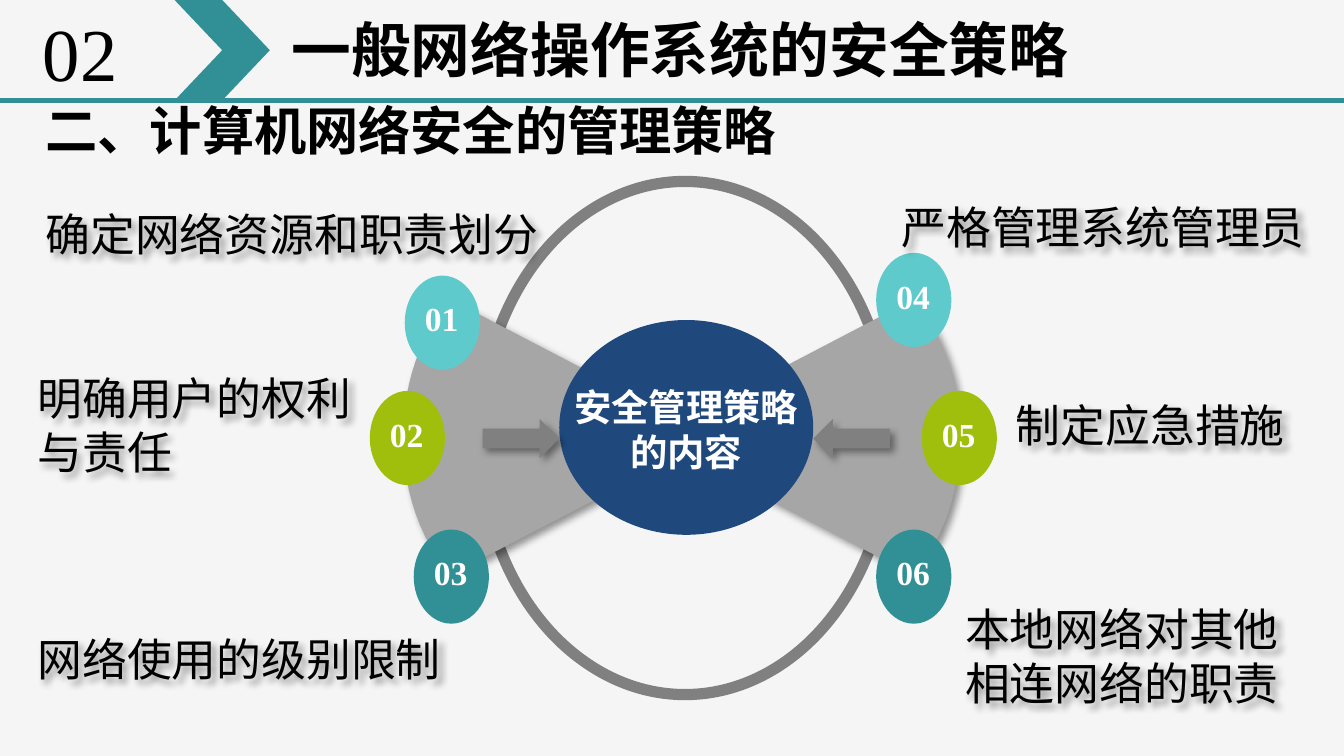
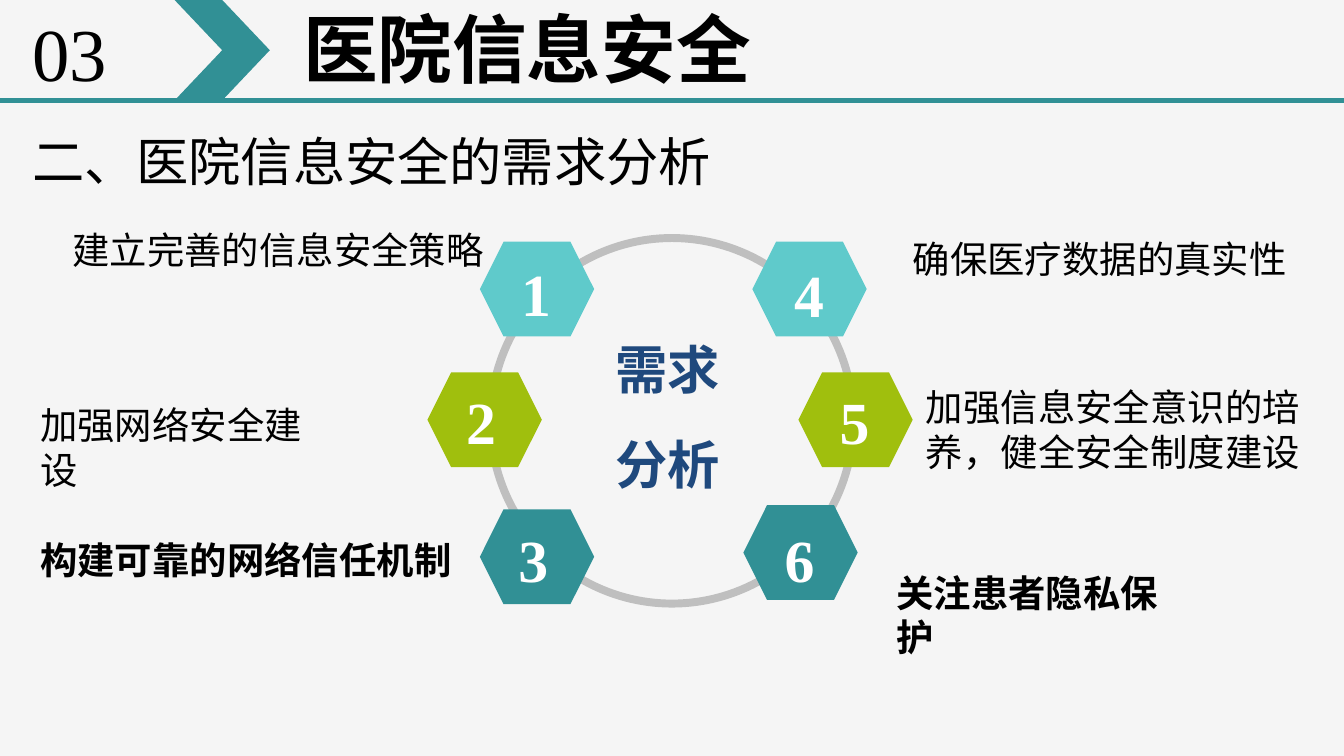
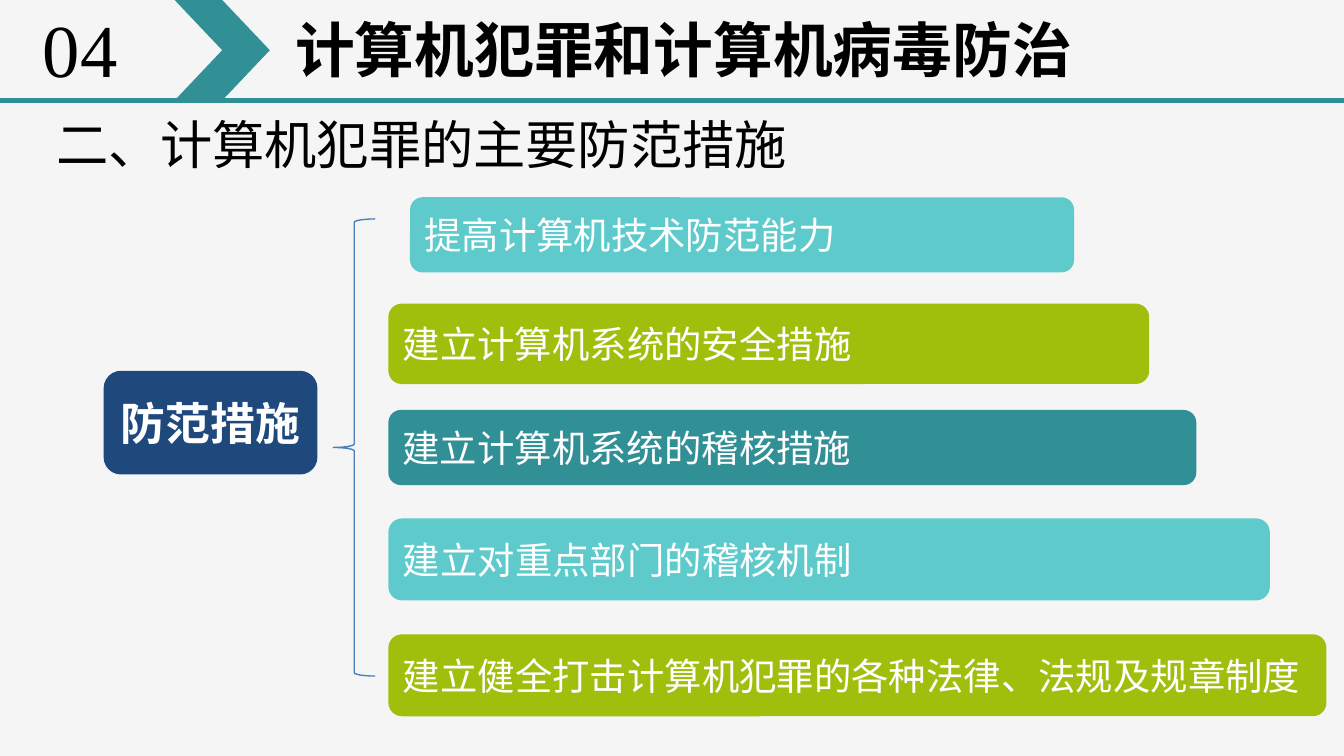
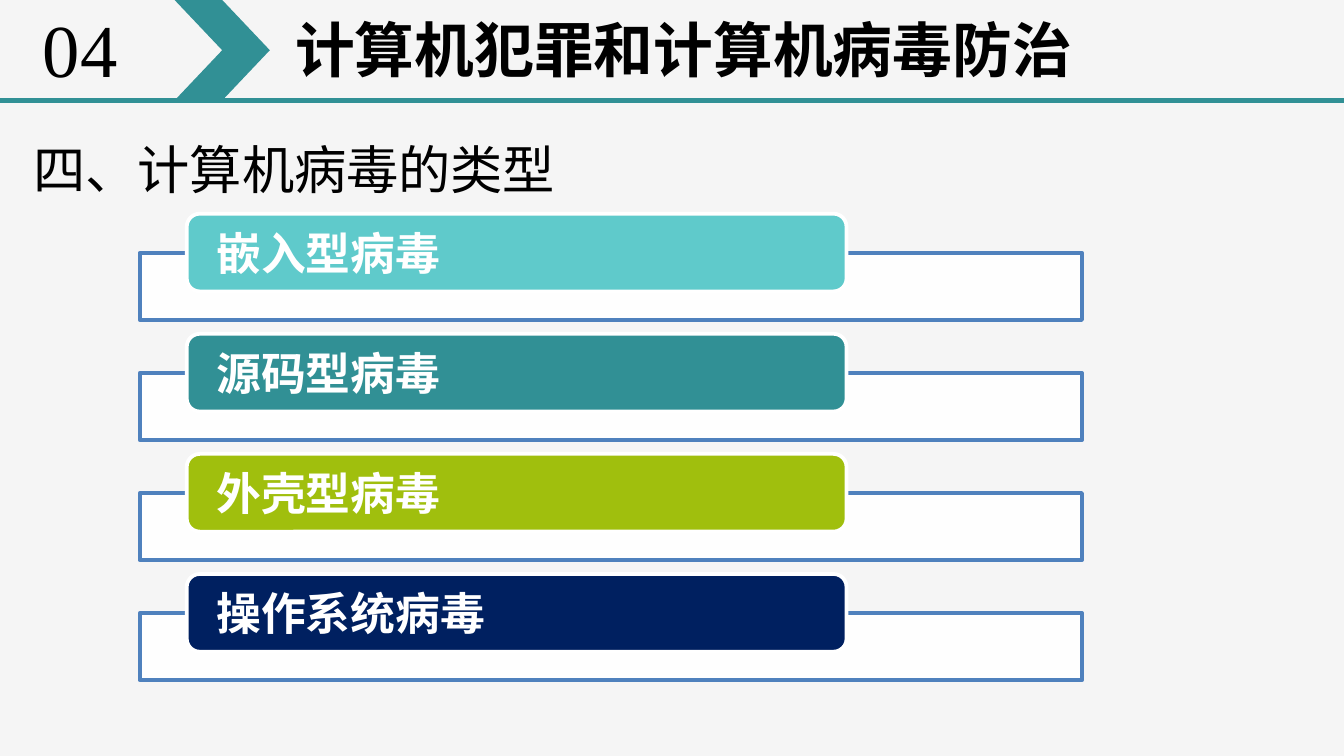
"""Four training slides on network, hospital and computer security."""
from dataclasses import dataclass
from typing import NamedTuple, Optional

from lxml.etree import SubElement
from pptx import Presentation
from pptx.dml.color import RGBColor
from pptx.enum.shapes import MSO_CONNECTOR, MSO_SHAPE as Geo
from pptx.enum.text import MSO_ANCHOR as Anchor, MSO_AUTO_SIZE as Auto, PP_ALIGN as Align
from pptx.oxml.ns import qn
from pptx.util import Cm, Pt

FONT = "Times New Roman"
PAPER, BLACK, WHITE = "F5F5F5", "000000", "FFFFFF"
AQUA, LIME, TEAL = "5FCACB", "A0BF0D", "319095"
NAVY, DEEP_NAVY, BLUE, BRACE_BLUE = "1F497D", "002060", "4F81BD", "4B7EBC"
GREY, MID_GREY, PALE_GREY = "808080", "A6A6A6", "BFBFBF"
DEFAULT_INSET, TIGHT_INSET, NO_INSET = (0.25, 0.13), (0.2, 0.1), (0, 0)


class Box(NamedTuple):
    """Left, top, width and height in centimetres."""
    left: float
    top: float
    width: float
    height: float

    def lengths(self) -> list:
        """Return the four values as lengths."""
        return [Cm(v) for v in self]


@dataclass
class Style:
    """How a text looks and sits in its frame."""
    size: float
    color: str = BLACK
    bold: bool = False
    spacing: Optional[float] = None
    after: Optional[float] = None
    align: Align = Align.LEFT
    anchor: Anchor = Anchor.TOP
    inset: tuple = DEFAULT_INSET
    wrap: bool = True
    grow: bool = True


@dataclass
class Label:
    """A text with its box."""
    text: str
    box: Box
    style: Style


@dataclass
class Badge:
    """A numbered marker with the corner of its shape and of its number."""
    number: str
    color: str
    left: float
    top: float
    text_left: float
    text_top: float


@dataclass
class Bar:
    """A filled bar with a caption."""
    text: str
    color: str
    box: Box


def rgb(color: str) -> RGBColor:
    """Turn a hex string into a colour."""
    return RGBColor.from_string(color)


def write(tf, text: str, style: Style) -> None:
    """Fill a text frame, one paragraph per line."""
    side, top = (Cm(v) for v in style.inset)
    frame = {"word_wrap": style.wrap, "vertical_anchor": style.anchor,
             "auto_size": Auto.SHAPE_TO_FIT_TEXT if style.grow else Auto.NONE,
             "margin_left": side, "margin_right": side,
             "margin_top": top, "margin_bottom": top}
    for key, value in frame.items():
        setattr(tf, key, value)
    for i, line in enumerate(text.split("\n")):
        p = tf.add_paragraph() if i else tf.paragraphs[0]
        layout = {"alignment": style.align, "line_spacing": style.spacing,
                  "space_after": Pt(style.after) if style.after else None}
        for key, value in layout.items():
            setattr(p, key, value)
        r = p.add_run()
        r.text = line
        for key, value in {"name": FONT, "size": Pt(style.size), "bold": style.bold}.items():
            setattr(r.font, key, value)
        r.font.color.rgb = rgb(style.color)


def add_label(s, label: Label):
    """Add a text box."""
    sp = s.shapes.add_textbox(*label.box.lengths())
    write(sp.text_frame, label.text, label.style)
    return sp


def paint(sp, fill: Optional[str], line: Optional[str] = None, width: float = 1) -> None:
    """Set fill and outline and drop the theme shadow."""
    sp.shadow.inherit = False
    if fill:
        sp.fill.solid()
        sp.fill.fore_color.rgb = rgb(fill)
    else:
        sp.fill.background()
    if line:
        sp.line.color.rgb = rgb(line)
        sp.line.width = Pt(width)
    else:
        sp.line.fill.background()


def add_geo(s, geo: Geo, box: Box, fill: Optional[str] = None,
            line: Optional[str] = None, width: float = 1):
    """Add a painted preset shape."""
    sp = s.shapes.add_shape(geo, *box.lengths())
    paint(sp, fill, line, width)
    return sp


def cast_shadow(sp) -> None:
    """Give a shape a soft shadow to the lower right."""
    sp.shadow.inherit = False
    effects = sp.element.spPr.find(qn("a:effectLst"))
    outer = SubElement(effects, qn("a:outerShdw"), blurRad=str(Pt(4)), dist=str(Pt(3)),
                       dir="2700000", algn="tl", rotWithShape="0")
    color = SubElement(outer, qn("a:srgbClr"), val=BLACK)
    SubElement(color, qn("a:alpha"), val="40000")


def add_badges(s, geo: Geo, width: float, height: float, badges: list,
               text_size: tuple, style: Style) -> None:
    """Add the numbered markers of a ring."""
    for b in badges:
        add_geo(s, geo, Box(b.left, b.top, width, height), b.color)
        add_label(s, Label(b.number, Box(b.text_left, b.text_top, *text_size), style))


def bezier(a: tuple, b: tuple, c: tuple, d: tuple, steps: int = 12) -> list:
    """Return points along a cubic curve, without its start."""
    ts = [i / steps for i in range(1, steps + 1)]
    return [tuple((1 - t) ** 3 * a[k] + 3 * (1 - t) ** 2 * t * b[k]
                  + 3 * (1 - t) * t ** 2 * c[k] + t ** 3 * d[k] for k in (0, 1)) for t in ts]


def add_wedge(s, mirrored: bool) -> None:
    """Add the grey fan between the core and its markers."""
    top, tip, bottom, rim = (8.51, 5.66), (13.51, 8.27), (8.51, 10.87), (7.62, 8.27)
    points = [top, tip, bottom]
    points += bezier(bottom, (7.95, 10.21), (7.62, 9.3), rim)
    points += bezier(rim, (7.62, 7.24), (7.95, 6.32), top)
    outline = [(Cm(25.77 - x if mirrored else x), Cm(y)) for x, y in points]
    builder = s.shapes.build_freeform(*outline[0], scale=1.0)
    builder.add_line_segments(outline[1:], close=True)
    sp = builder.convert_to_shape()
    paint(sp, MID_GREY)
    cast_shadow(sp)


def add_page(prs, number: Label, title: Label, subtitle: Label):
    """Add a slide with its header band and headings."""
    s = prs.slides.add_slide(prs.slide_layouts[6])
    rule = s.shapes.add_connector(MSO_CONNECTOR.STRAIGHT, Cm(0), Cm(1.9), Cm(25.43), Cm(1.9))
    rule.line.color.rgb = rgb(TEAL)
    rule.line.width = Pt(2.25)
    SubElement(rule.element.spPr, qn("a:effectLst"))
    add_geo(s, Geo.CHEVRON, Box(3.3, 0, 1.8, 1.9), TEAL)
    for label in (number, title, subtitle):
        add_label(s, label)
    return s


NUMBER = Style(40, inset=TIGHT_INSET, wrap=False)
TITLE = Style(32, bold=True, inset=TIGHT_INSET)
SUBTITLE = Style(28, spacing=2.0)


def strategy_slide(prs) -> None:
    """Build the slide on management strategy."""
    s = add_page(prs, Label("02", Box(0.61, 0.03, 1.85, 1.93), NUMBER),
                 Label("一般网络操作系统的安全策略", Box(5.31, 0.15, 17.3, 1.57), TITLE),
                 Label("二、计算机网络安全的管理策略", Box(0.61, 1.73, 14.48, 1.45),
                       Style(28, bold=True, wrap=False)))
    add_geo(s, Geo.OVAL, Box(9.07, 3.43, 7.75, 9.7), line=GREY, width=6)
    for mirrored in (False, True):
        add_wedge(s, mirrored)
    spots = [("01", AQUA, 7.65, 5.21), ("02", LIME, 6.99, 7.39), ("03", TEAL, 7.82, 10.01),
             ("04", AQUA, 16.56, 4.78), ("05", LIME, 17.42, 7.39), ("06", TEAL, 16.56, 10.01)]
    badges = [Badge(n, c, x, y, x + 0.13, y + 0.3) for n, c, x, y in spots]
    add_badges(s, Geo.OVAL, 1.42, 1.78, badges, (1.32, 1.02), Style(18, WHITE, True))
    add_geo(s, Geo.OVAL, Box(10.57, 6.05, 4.8, 4.06), NAVY)
    add_label(s, Label("安全管理策略的内容", Box(10.57, 7.14, 4.8, 1.96),
                       Style(20, WHITE, True, align=Align.CENTER)))
    for geo, left in ((Geo.RIGHT_ARROW, 9.12), (Geo.LEFT_ARROW, 15.37)):
        cast_shadow(add_geo(s, geo, Box(left, 7.92, 1.45, 0.74), GREY))
    flush = Style(24, inset=NO_INSET)
    labels = [
        Label("确定网络资源和职责划分", Box(0.61, 3.78, 9.9, 1.27), Style(24)),
        Label("明确用户的权利与责任", Box(0.71, 7.01, 6.6, 2.06), flush),
        Label("网络使用的级别限制", Box(0.71, 11.94, 7.95, 1.02), flush),
        Label("严格管理系统管理员", Box(17.04, 3.78, 8.38, 1.02), flush),
        Label("制定应急措施", Box(19.2, 7.52, 5.44, 1.02), flush),
        Label("本地网络对其他\n相连网络的职责", Box(18.24, 11.38, 6.4, 2.06), flush),
    ]
    for label in labels:
        cast_shadow(add_label(s, label))


def needs_slide(prs) -> None:
    """Build the slide on hospital security needs."""
    s = add_page(prs, Label("03", Box(0.41, 0.03, 1.85, 1.93), NUMBER),
                 Label(" 医院信息安全", Box(5.21, -0.05, 13.31, 1.93),
                       Style(40, bold=True, inset=TIGHT_INSET)),
                 Label("二、医院信息安全的需求分析", Box(0.36, 1.12, 16.03, 2.29), SUBTITLE))
    add_geo(s, Geo.OVAL, Box(9.27, 4.5, 6.86, 6.91), line=PALE_GREY, width=4.25)
    badges = [
        Badge("1", AQUA, 9.07, 4.57, 9.6, 4.72),
        Badge("2", LIME, 8.08, 7.04, 8.56, 7.14),
        Badge("3", TEAL, 9.07, 9.63, 9.55, 9.75),
        Badge("4", AQUA, 14.22, 4.57, 14.76, 4.75),
        Badge("5", LIME, 15.09, 7.04, 15.62, 7.14),
        Badge("6", TEAL, 14.05, 9.55, 14.58, 9.75),
    ]
    add_badges(s, Geo.HEXAGON, 2.16, 1.79, badges, (1.09, 1.63),
               Style(32, WHITE, True, wrap=False))
    plain, strong = Style(20), Style(20, bold=True)
    labels = [
        Label("建立完善的信息安全策略", Box(1.12, 4.17, 8.28, 1.96), plain),
        Label("加强网络安全建设", Box(0.51, 7.47, 6.1, 1.12), plain),
        Label("构建可靠的网络信任机制", Box(0.51, 10.03, 9.17, 1.12), strong),
        Label("确保医疗数据的真实性", Box(17, 4.34, 7.8, 1.12), plain),
        Label("加强信息安全意识的培养，健全安全制度建设", Box(17.25, 7.14, 7.8, 1.96), plain),
        Label("关注患者隐私保护", Box(16.69, 10.64, 6.1, 1.12), strong),
        Label("需求\n分析", Box(11.43, 5.69, 2.69, 3.58),
              Style(28, NAVY, True, spacing=1.5, inset=TIGHT_INSET)),
    ]
    for label in labels:
        add_label(s, label)


def crime_page(prs, subtitle: Label):
    """Add a page of the chapter on crime and viruses."""
    return add_page(prs, Label("04", Box(0.61, -0.05, 1.85, 1.93), NUMBER),
                    Label("计算机犯罪和计算机病毒防治", Box(5.38, 0.15, 17.5, 1.57), TITLE),
                    subtitle)


def prevention_slide(prs) -> None:
    """Build the slide on preventing computer crime."""
    s = crime_page(prs, Label("二、计算机犯罪的主要防范措施",
                              Box(0.81, 0.81, 23.19, 2.29), SUBTITLE))
    caption = Style(20, WHITE, anchor=Anchor.MIDDLE, inset=TIGHT_INSET, grow=False)
    key = Style(24, WHITE, True, align=Align.CENTER, anchor=Anchor.MIDDLE,
                inset=TIGHT_INSET, grow=False)
    bars = [
        Bar("提高计算机技术防范能力", AQUA, Box(7.75, 3.73, 12.55, 1.42)),
        Bar("建立计算机系统的安全措施", LIME, Box(7.34, 5.74, 14.38, 1.52)),
        Bar("建立计算机系统的稽核措施", TEAL, Box(7.34, 7.75, 15.27, 1.42)),
        Bar("建立对重点部门的稽核机制", AQUA, Box(7.34, 9.8, 16.66, 1.55)),
        Bar("建立健全打击计算机犯罪的各种法律、法规及规章制度", LIME,
            Box(7.34, 11.99, 17.73, 1.55)),
        Bar("防范措施", NAVY, Box(1.96, 7.01, 4.04, 1.96)),
    ]
    for bar in bars:
        sp = add_geo(s, Geo.ROUNDED_RECTANGLE, bar.box, bar.color)
        write(sp.text_frame, bar.text, key if bar.color == NAVY else caption)
    add_geo(s, Geo.LEFT_BRACE, Box(6.3, 4.14, 0.79, 8.64), line=BRACE_BLUE, width=0.75)


def virus_slide(prs) -> None:
    """Build the slide on kinds of virus."""
    s = crime_page(prs, Label("四、计算机病毒的类型", Box(0.38, 1.27, 23.19, 2.29), SUBTITLE))
    style = Style(24, WHITE, True, after=8, anchor=Anchor.MIDDLE, inset=(0.48, 0), grow=False)
    kinds = [("嵌入型病毒", AQUA), ("源码型病毒", TEAL),
             ("外壳型病毒", LIME), ("操作系统病毒", DEEP_NAVY)]
    for i, (kind, color) in enumerate(kinds):
        drop = 2.27 * i
        frame = add_geo(s, Geo.RECTANGLE, Box(2.64, 4.78 + drop, 17.81, 1.27), WHITE, BLUE, 2)
        fill = frame.element.spPr.find(qn("a:solidFill"))
        SubElement(fill[0], qn("a:alpha"), val="90000")
        add_geo(s, Geo.ROUNDED_RECTANGLE, Box(3.53, 4.04 + drop, 12.47, 1.47), color, WHITE, 2)
        add_label(s, Label(kind, Box(3.61, 4.11 + drop, 12.32, 1.32), style))


def main() -> None:
    """Build and save the deck."""
    prs = Presentation()
    prs.slide_width, prs.slide_height = Cm(25.4), Cm(14.29)
    backdrop = prs.slide_master.background.fill
    backdrop.solid()
    backdrop.fore_color.rgb = rgb(PAPER)
    for build in (strategy_slide, needs_slide, prevention_slide, virus_slide):
        build(prs)
    prs.save("out.pptx")


if __name__ == "__main__":
    main()
